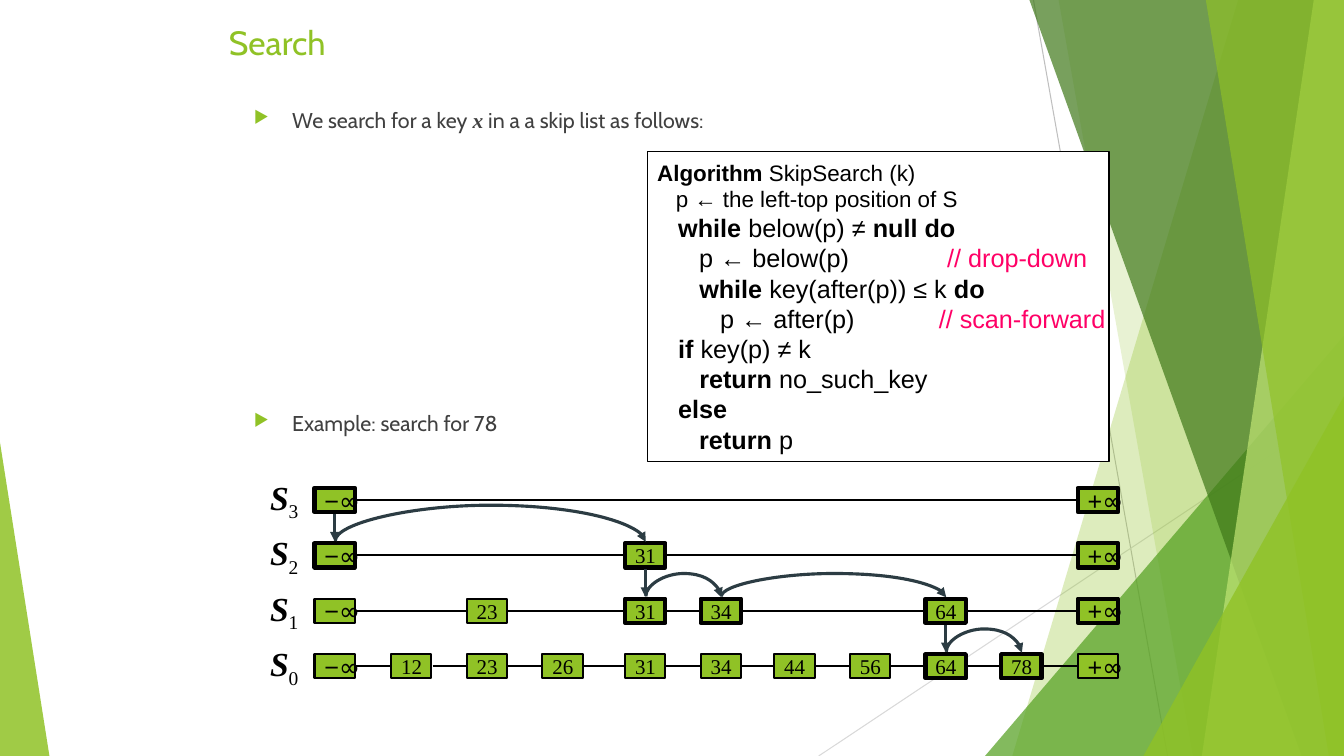
"""Build the skip list search slide."""
from itertools import pairwise

from lxml.etree import SubElement
from pptx import Presentation
from pptx.dml.color import RGBColor
from pptx.enum.shapes import MSO_CONNECTOR, MSO_SHAPE
from pptx.enum.text import MSO_ANCHOR, PP_ALIGN
from pptx.oxml.ns import qn
from pptx.util import Inches, Pt

GREEN, BLACK, WHITE, SLATE, PINK = "90C226", "000000", "FFFFFF", "2C3C43", "FF0066"
PAGE_WIDTH, PAGE_HEIGHT = 13.33, 7.5


def paint(shape, color, line_width=0, opacity=100):
    """Fill a shape, outline it in black if a width is given."""
    shape.shadow.inherit = False
    shape.fill.solid()
    shape.fill.fore_color.rgb = RGBColor.from_string(color)
    if opacity < 100:
        tint = shape.fill._xPr.find(qn("a:solidFill"))[0]
        SubElement(tint, qn("a:alpha"), val=str(opacity * 1000))
    if line_width:
        shape.line.color.rgb = RGBColor.from_string(BLACK)
        shape.line.width = Pt(line_width)
    else:
        shape.line.fill.background()


def connect(kind, start, end, color, width, arrow=False):
    """Draw a connector between two points and return it."""
    connector = page.shapes.add_connector(kind, *map(Inches, start + end))
    connector.line.color.rgb = RGBColor.from_string(color)
    connector.line.width = Pt(width)
    if arrow:
        SubElement(connector.line._get_or_add_ln(), qn("a:tailEnd"), type="triangle")
    SubElement(connector._element.spPr, qn("a:effectLst"))
    return connector


deck = Presentation()
deck.slide_width, deck.slide_height = Inches(PAGE_WIDTH), Inches(PAGE_HEIGHT)
page = deck.slides.add_slide(deck.slide_layouts[5])

title = page.shapes.title
title.left, title.top, title.width, title.height = map(Inches, (2.17, 0.17, 9, 0.75))
title.text_frame.text = "Search"
title.text_frame.vertical_anchor = MSO_ANCHOR.TOP
para = title.text_frame.paragraphs[0]
para.alignment = PP_ALIGN.LEFT
para.font.name, para.font.size = "Cabin", Pt(24)
para.font.color.rgb = RGBColor.from_string(GREEN)

connect(MSO_CONNECTOR.STRAIGHT, (10.25, 0), (11.58, 7.5), "BFBFBF", 0.75)
connect(MSO_CONNECTOR.STRAIGHT, (13.33, 4.03), (8.12, 7.5), "D9D9D9", 0.75)

# Each pane has top and bottom x; each triangle has left, top, width and apex.
panes = [
    (GREEN, 30, (12.28, 10.04)),
    (GREEN, 20, (10.5, 11.83)),
    ("54A021", 72, (9.77, 3.33, 3.56, 1)),
    ("3F7819", 70, (10.21, 12.91)),
    ("C0E474", 70, (13.03, 11.92)),
    (GREEN, 65, (11.96, 13.18)),
    (GREEN, 80, (11.34, 3.93, 1.99, 1)),
    (GREEN, 85, (0, 4.39, 0.49, 0)),
]
for color, opacity, outline in panes:
    if len(outline) == 2:
        top_x, bottom_x = outline
        builder = page.shapes.build_freeform(Inches(top_x), 0)
        corners = [(PAGE_WIDTH, 0), (PAGE_WIDTH, PAGE_HEIGHT), (bottom_x, PAGE_HEIGHT)]
        builder.add_line_segments([(Inches(x), Inches(y)) for x, y in corners])
        pane = builder.convert_to_shape()
    else:
        left, top, width, apex = outline
        pane = page.shapes.add_shape(
            MSO_SHAPE.ISOSCELES_TRIANGLE,
            *map(Inches, (left, top, width, PAGE_HEIGHT - top)))
        pane.adjustments[0] = apex
    paint(pane, color, opacity=opacity)

box = page.shapes.add_textbox(*map(Inches, (2.42, 1.08, 7.83, 3.42)))
box.text_frame.word_wrap = True
bullets = [["We search for a key ", "x", " in a a skip list as follows:"],
           ["Example: search for 78"]]
for index, texts in enumerate(bullets):
    para = box.text_frame.add_paragraph() if index else box.text_frame.paragraphs[0]
    para.line_spacing = 0.7
    para.space_before = Pt(204 * index)
    properties = para._p.get_or_add_pPr()
    properties.set("marL", str(Inches(0.38)))
    properties.set("indent", str(-Inches(0.38)))
    SubElement(SubElement(properties, qn("a:buClr")), qn("a:srgbClr"), val=GREEN)
    SubElement(properties, qn("a:buSzPct"), val="80000")
    SubElement(properties, qn("a:buChar"), char="▶")
    para.font.size = Pt(15.3)
    para.font.color.rgb = RGBColor.from_string("404040")
    for text in texts:
        span = para.add_run()
        span.text = text
        span.font.name = "Times New Roman" if text == "x" else "Cabin"
        span.font.bold = span.font.italic = text == "x"

columns = {"−∞": 3.32, "12": 4.08, "23": 4.83, "26": 5.58, "31": 6.4, "34": 7.15,
           "44": 7.88, "56": 8.63, "64": 9.38, "78": 10.13, "+∞": 10.89}
levels = [list(columns), ["−∞", "23", "31", "34", "64", "+∞"],
          ["−∞", "31", "+∞"], ["−∞", "+∞"]]
visited = [["64", "78"], ["31", "34", "64", "+∞"], levels[2], levels[3]]
rows = [6.61 - 0.55 * level for level in range(len(levels))]

for level, (keys, row) in enumerate(zip(levels, rows)):
    label = page.shapes.add_textbox(*map(Inches, (2.58, row - 0.28, 0.5, 0.5)))
    label.text_frame.word_wrap = False
    para = label.text_frame.paragraphs[0]
    para.font.name, para.font.size = "Times New Roman", Pt(24)
    para.font.color.rgb = RGBColor.from_string(BLACK)
    letter, number = para.add_run(), para.add_run()
    letter.text, number.text = "S", str(level)
    letter.font.bold = letter.font.italic = True
    number.font._element.set("baseline", "-25000")

    for before, after in pairwise(keys):
        connect(MSO_CONNECTOR.STRAIGHT, (columns[before] + 0.21, row),
                (columns[after] - 0.21, row), BLACK, 1.5)
    for key in keys:
        node = page.shapes.add_shape(
            MSO_SHAPE.RECTANGLE, *map(Inches, (columns[key] - 0.2, row - 0.12, 0.4, 0.24)))
        paint(node, GREEN, 3 if key in visited[level] else 1.5)
        node.text_frame.word_wrap = False
        node.text_frame.vertical_anchor = MSO_ANCHOR.MIDDLE
        para = node.text_frame.paragraphs[0]
        para.alignment = PP_ALIGN.LEFT
        para.font.size = Pt(18 if "∞" in key else 15)
        para.font.color.rgb = RGBColor.from_string(BLACK)
        for text in key if "∞" in key else [key]:
            span = para.add_run()
            span.text = text
            span.font.name = {"∞": "Cabin", "+": "Arial", "−": "Arial"}.get(
                text, "Times New Roman")

for key, level in [("−∞", 3), ("31", 2), ("64", 1)]:
    connect(MSO_CONNECTOR.STRAIGHT, (columns[key], rows[level] + 0.14),
            (columns[key], rows[level - 1] - 0.14), SLATE, 2.25, True)

hops = [("−∞", "31", 2, 0.36), ("31", "34", 1, 0.23), ("34", "64", 1, 0.23),
        ("64", "78", 0, 0.23)]
for before, after, level, lift in hops:
    middle = (columns[before] + columns[after]) / 2
    reach = (columns[after] - columns[before]) / 2
    height = rows[level] - 0.14
    hop = connect(MSO_CONNECTOR.CURVE, (middle, height + reach),
                  (middle + 0.01, height - reach), SLATE, 2.25, True)
    hop._element.spPr.find(qn("a:xfrm")).set("rot", "5400000")
    guides = hop._element.spPr.find(qn("a:prstGeom")).find(qn("a:avLst"))
    SubElement(guides, qn("a:gd"), name="adj1", fmla=f"val {round(-lift / 0.01 * 100000)}")

algorithm = page.shapes.add_shape(
    MSO_SHAPE.RECTANGLE, *map(Inches, (6.42, 1.5, 4.58, 3.08)))
paint(algorithm, WHITE, 1)
algorithm.text_frame.word_wrap = False
algorithm.text_frame.vertical_anchor = MSO_ANCHOR.MIDDLE
code = """|Algorithm| SkipSearch (k)
   p ← the left-top position of S
|   while| below(p) ≠ |null do
      p ← below(p)              ||// drop-down
      |while| key(after(p)) ≤ k |do
         p ← after(p)            ||// scan-forward
   |if| key(p) ≠ k
      |return| no_such_key
|   else
|      return| p"""
for index, line in enumerate(code.split("\n")):
    frame = algorithm.text_frame
    para = frame.add_paragraph() if index else frame.paragraphs[0]
    para.alignment = PP_ALIGN.LEFT
    para.font.name, para.font.size = "Arial", Pt(16 if index < 2 else 18)
    for position, text in enumerate(line.split("|")):
        if text:
            span = para.add_run()
            span.text = text
            span.font.bold = position % 2 == 1
            span.font.color.rgb = RGBColor.from_string(PINK if text.startswith("//") else BLACK)

deck.save("out.pptx")
